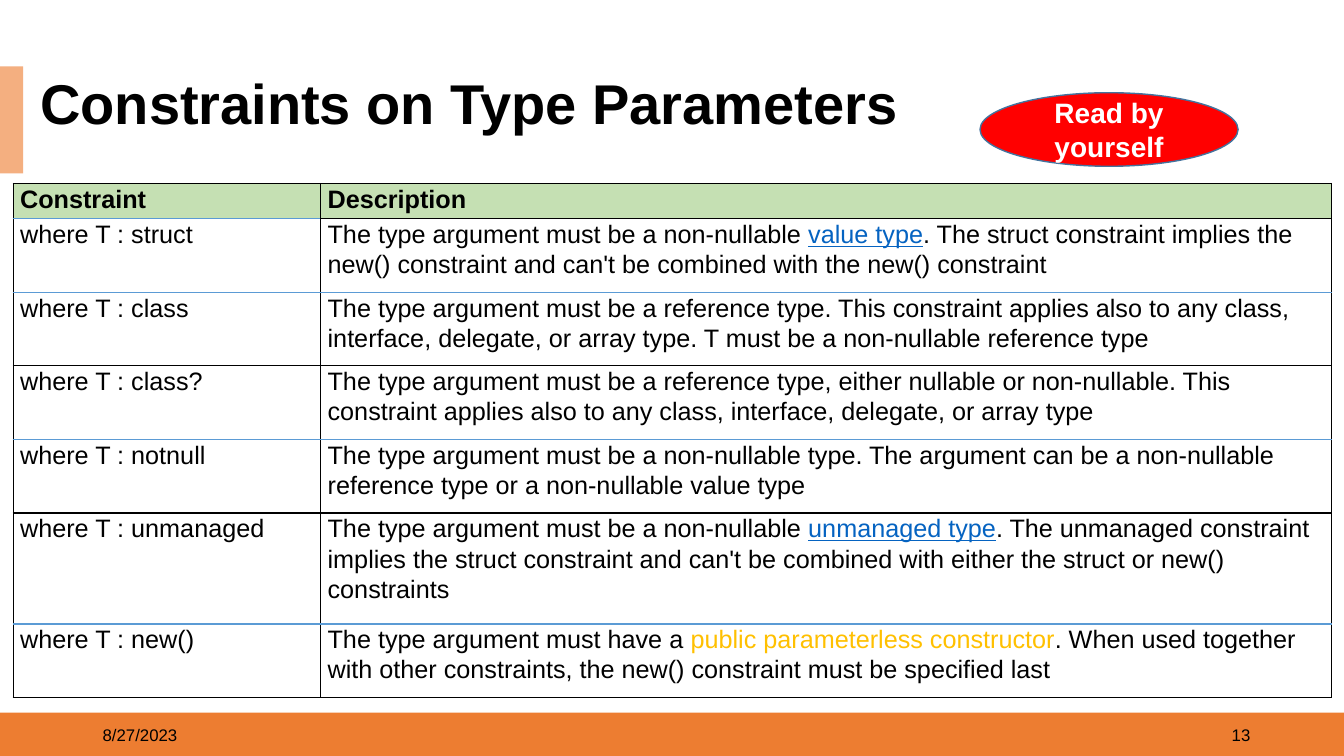
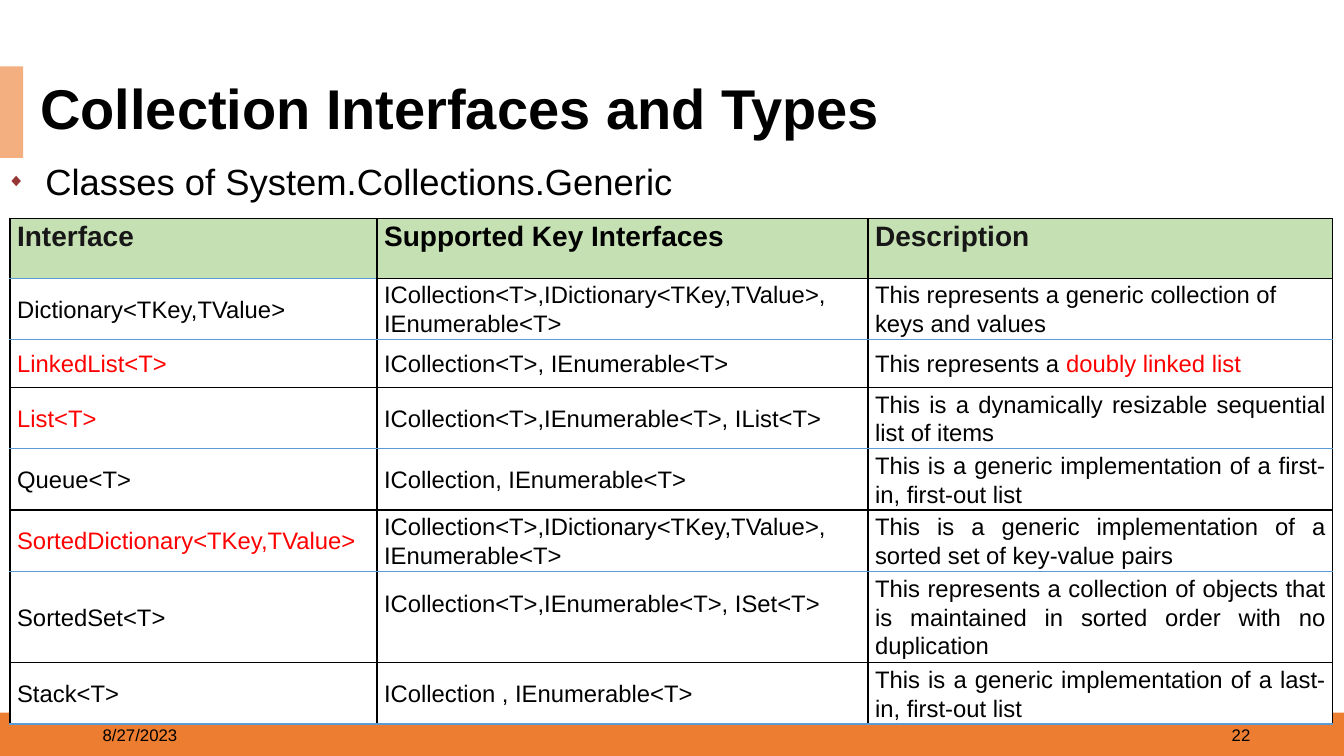
from lxml.etree import SubElement
from pptx import Presentation
from pptx.dml.color import RGBColor
from pptx.enum.shapes import MSO_SHAPE
from pptx.enum.text import MSO_ANCHOR, MSO_AUTO_SIZE, PP_ALIGN
from pptx.oxml import parse_xml
from pptx.oxml.ns import nsdecls, qn
from pptx.util import Inches, Pt

FONT = "Arial"
BLACK, WHITE, RED, GOLD = "000000", "FFFFFF", "FF0000", "FFC000"
ORANGE, PEACH, GREEN, BLUE = "ED7D31", "F4AF80", "C5E0B3", "5B9BD5"
LINK = {"color": "0563C1", "underline": True}
HOT = {"color": RED}

CONSTRAINTS = [
    ["Constraint", "Description"],
    ["where T : struct",
     ["The type argument must be a non-nullable ", ("value type", LINK),
      ". The struct constraint implies the new() constraint and can't be combined with the new() constraint"]],
    ["where T : class",
     "The type argument must be a reference type. This constraint applies also to any class, "
     "interface, delegate, or array type. T must be a non-nullable reference type"],
    ["where T : class?",
     "The type argument must be a reference type, either nullable or non-nullable. "
     "This constraint applies also to any class, interface, delegate, or array type"],
    ["where T : notnull",
     "The type argument must be a non-nullable type. The argument can be a non-nullable "
     "reference type or a non-nullable value type"],
    ["where T : unmanaged",
     ["The type argument must be a non-nullable ", ("unmanaged type", LINK),
      ". The unmanaged constraint implies the struct constraint and can't be combined "
      "with either the struct or new() constraints"]],
    ["where T : new()",
     ["The type argument must have a ", ("public parameterless constructor", {"color": GOLD}),
      ". When used together with other constraints, the new() constraint must be specified last"]],
]

COLLECTIONS = [
    [[("Interface", {"color": "171717"})], "Supported Key Interfaces",
     [("Description", {"color": "171717"})]],
    ["Dictionary<TKey,TValue>", "ICollection<T>,IDictionary<TKey,TValue>, IEnumerable<T>",
     "This represents a generic collection of\nkeys and values"],
    [[("LinkedList<T>", HOT)], "ICollection<T>, IEnumerable<T>",
     ["This represents a ", ("doubly linked list", HOT)]],
    [[("List<T>", HOT)], "ICollection<T>,IEnumerable<T>, IList<T>",
     "This is a dynamically resizable sequential list of items"],
    ["Queue<T>", "ICollection, IEnumerable<T>",
     "This is a generic implementation of a first-in, first-out list"],
    [[("SortedDictionary<TKey,TValue>", HOT)],
     "ICollection<T>,IDictionary<TKey,TValue>, IEnumerable<T>",
     "This is a generic implementation of a sorted set of key-value pairs"],
    ["SortedSet<T>", "ICollection<T>,IEnumerable<T>, ISet<T>",
     "This represents a collection of objects that is maintained in sorted order with no duplication"],
    ["Stack<T>", "ICollection , IEnumerable<T>",
     "This is a generic implementation of a last-in, first-out list"],
]


def rgb(code):
    """Turn a hex string into a colour."""
    return RGBColor.from_string(code)


def apply(target, formats):
    """Set every attribute named in a dict of format values."""
    for name, value in formats.items():
        setattr(target, name, value)


def place(part, box):
    """Move a part to a left, top, width, height box in inches."""
    apply(part, dict(zip(("left", "top", "width", "height"), map(Inches, box))))


def fill(part, code):
    """Give a part a solid fill."""
    part.fill.solid()
    part.fill.fore_color.rgb = rgb(code)


def write(paragraph, content, size, color=BLACK, bold=False, **formats):
    """Write text pieces, each plain or paired with its own style."""
    apply(paragraph, formats)
    for piece in [content] if isinstance(content, str) else content:
        words, style = (piece, {}) if isinstance(piece, str) else piece
        run = paragraph.add_run()
        run.text = words
        apply(run.font, {"name": FONT, "size": Pt(size), "bold": bold,
                         "underline": style.get("underline", False)})
        run.font.color.rgb = rgb(style.get("color", color))


def add_shape(slide, kind, box, color, outline=None):
    """Add a flat filled shape with an optional outline."""
    shape = slide.shapes.add_shape(kind, *map(Inches, box))
    shape.shadow.inherit = False
    fill(shape, color)
    if outline:
        shape.line.color.rgb = rgb(outline)
        shape.line.width = Pt(1)
    else:
        shape.line.fill.background()
    return shape


def add_label(slide, box, content, size, **formats):
    """Add a wrapped, vertically centred text box."""
    label = slide.shapes.add_textbox(*map(Inches, box))
    apply(label.text_frame, {"word_wrap": True, "vertical_anchor": MSO_ANCHOR.MIDDLE})
    write(label.text_frame.paragraphs[0], content, size, **formats)
    return label


def add_page(deck, title, title_box, date, number):
    """Start a slide with its bands, title and footer."""
    slide = deck.slides.add_slide(deck.slide_layouts[5])
    add_shape(slide, MSO_SHAPE.RECTANGLE, (0, 7.07, 13.33, 0.43), ORANGE)
    add_shape(slide, MSO_SHAPE.RECTANGLE, (0, 0.66, 0.23, 1.06), PEACH)
    heading = slide.shapes.title
    place(heading, title_box)
    apply(heading.text_frame, {"word_wrap": True, "auto_size": MSO_AUTO_SIZE.NONE,
                               "vertical_anchor": MSO_ANCHOR.MIDDLE})
    write(heading.text_frame.paragraphs[0], title, 40, bold=True,
          alignment=PP_ALIGN.LEFT, line_spacing=0.8)
    add_label(slide, (0.92, 7.09, 3, 0.4), date, 12)
    add_label(slide, (9.5, 7.09, 3, 0.4), number, 12, alignment=PP_ALIGN.RIGHT)
    return slide


def add_borders(cell, row, column):
    """Rule a cell in black, with blue lines under every odd row."""
    def below(index):
        blue = index > 0 and index % 2 or index == 0 and column == 0
        return BLUE if blue else BLACK

    sides = {"lnL": BLACK, "lnR": BLACK, "lnT": below(row - 1), "lnB": below(row)}
    properties = cell._tc.get_or_add_tcPr()
    for index, (side, color) in enumerate(sides.items()):
        properties.insert(index, parse_xml(
            f'<a:{side} {nsdecls("a")} w="12700"><a:solidFill>'
            f'<a:srgbClr val="{color}"/></a:solidFill></a:{side}>'))


def add_grid(slide, corner, widths, heights, rows, header_size, body_size,
             body_anchor=MSO_ANCHOR.TOP, body_align=PP_ALIGN.LEFT):
    """Add a ruled table with a green header row."""
    grid = slide.shapes.add_table(
        len(rows), len(widths), *map(Inches, (*corner, sum(widths), sum(heights)))).table
    apply(grid, {"first_row": False, "horz_banding": False})
    for column, width in zip(grid.columns, widths):
        column.width = Inches(width)
    for r, (contents, height) in enumerate(zip(rows, heights)):
        grid.rows[r].height = Inches(height)
        header = r == 0
        for c, content in enumerate(contents):
            cell = grid.cell(r, c)
            apply(cell, {"margin_left": Inches(0.07), "margin_right": Inches(0.07),
                         "margin_top": 0, "margin_bottom": 0,
                         "vertical_anchor": MSO_ANCHOR.TOP if header else body_anchor})
            fill(cell, GREEN if header else WHITE)
            add_borders(cell, r, c)
            lines = content.split("\n") if isinstance(content, str) else [content]
            frame = cell.text_frame
            for index, line in enumerate(lines):
                paragraph = frame.add_paragraph() if index else frame.paragraphs[0]
                write(paragraph, line, header_size if header else body_size, bold=header,
                      line_spacing=1.07,
                      alignment=PP_ALIGN.LEFT if header or c == 0 else body_align)
    return grid


def add_bullet(paragraph, mark, color, percent, indent):
    """Give a paragraph a hanging bullet."""
    properties = paragraph._p.get_or_add_pPr()
    properties.set("marL", str(Inches(indent)))
    properties.set("indent", str(-Inches(indent)))
    SubElement(SubElement(properties, qn("a:buClr")), qn("a:srgbClr")).set("val", color)
    for tag, name, value in (("a:buSzPct", "val", str(percent * 1000)),
                             ("a:buFont", "typeface", FONT),
                             ("a:buChar", "char", mark)):
        SubElement(properties, qn(tag)).set(name, value)


def add_constraints_slide(deck):
    """Build the slide on type parameter constraints."""
    slide = add_page(deck, "Constraints on Type Parameters", (0.3, 0.8, 9.2, 0.55),
                     "8/27/2023", "13")
    add_grid(slide, (0.13, 1.82), (3.05, 10.03), (0.35, *[0.73] * 4, 1.1, 0.73),
             CONSTRAINTS, 18, 18)
    badge = add_shape(slide, MSO_SHAPE.OVAL, (9.72, 0.92, 2.56, 0.73), RED, "43739E")
    apply(badge.text_frame, {"word_wrap": True, "vertical_anchor": MSO_ANCHOR.MIDDLE})
    write(badge.text_frame.paragraphs[0], "Read by yourself", 20, WHITE, True,
          alignment=PP_ALIGN.CENTER)


def add_collections_slide(deck):
    """Build the slide on generic collection classes."""
    slide = add_page(deck, "Collection Interfaces and Types", (0.3, 0.85, 12.2, 0.55),
                     "8/27/2023", "22")
    topic = add_label(slide, (0, 1.57, 8.9, 0.46), "Classes of System.Collections.Generic", 26)
    fill(topic, WHITE)
    topic.text_frame.margin_left = Inches(0.07)
    add_bullet(topic.text_frame.paragraphs[0], "◆", "973735", 50, 0.38)
    grid = add_grid(slide, (0.1, 2.17), (3.64, 4.87, 4.61),
                    (0.59, 0.57, 0.48, *[0.57] * 3, 0.85, 0.57), COLLECTIONS, 20, 17,
                    MSO_ANCHOR.MIDDLE, PP_ALIGN.JUSTIFY)
    grid.cell(6, 1).margin_bottom = Inches(0.28)


def main():
    """Build and save the deck."""
    deck = Presentation()
    apply(deck, {"slide_width": Inches(13.33), "slide_height": Inches(7.5)})
    add_constraints_slide(deck)
    add_collections_slide(deck)
    deck.save("out.pptx")


if __name__ == "__main__":
    main()
